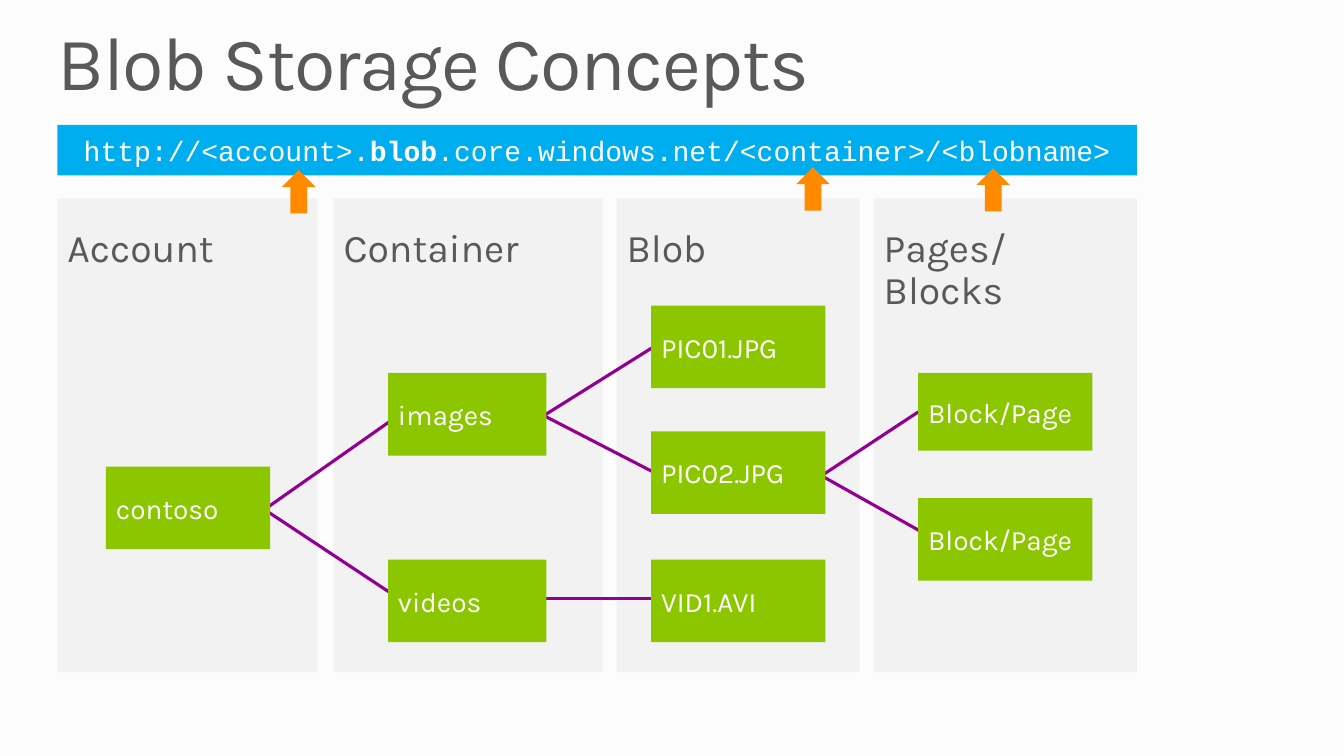
import pptx
import pptx.util
import pptx.dml.color
import pptx.enum.shapes
import pptx.enum.text
import pptx.oxml.xmlchemy

Cm = pptx.util.Cm
Pt = pptx.util.Pt
KIND = pptx.enum.shapes.MSO_SHAPE
ALIGN = pptx.enum.text.PP_ALIGN
ANCHOR = pptx.enum.text.MSO_ANCHOR


def paint(color, code):
    color.rgb = pptx.dml.color.RGBColor.from_string(code)


def block(kind, left, top, width, height, fill, text="", size=20, ink="FFFFFF"):
    shape = slide.shapes.add_shape(kind, Cm(left), Cm(top), Cm(width), Cm(height))
    shape.shadow.inherit = False
    shape.fill.solid()
    paint(shape.fill.fore_color, fill)
    shape.line.fill.background()
    if text:
        frame = shape.text_frame
        frame.word_wrap = True
        frame.vertical_anchor = ANCHOR.MIDDLE
        para = frame.paragraphs[0]
        para.text = text
        para.alignment = ALIGN.LEFT
        para.runs[0].font.size = Pt(size)
        para.runs[0].font.name = "Karla"
        paint(para.runs[0].font.color, ink)
    return shape


deck = pptx.Presentation()
deck.slide_width = Cm(33.87)
deck.slide_height = Cm(19.05)
slide = deck.slides.add_slide(deck.slide_layouts[5])
slide.background.fill.solid()
paint(slide.background.fill.fore_color, "FCFCFC")

# Title
title = slide.shapes.title
title.left, title.top, title.width, title.height = Cm(1.45), Cm(0.64), Cm(30.99), Cm(2.08)
frame = title.text_frame
frame.text = "Blob Storage Concepts"
frame.word_wrap = True
frame.auto_size = pptx.enum.text.MSO_AUTO_SIZE.SHAPE_TO_FIT_TEXT
frame.vertical_anchor = ANCHOR.TOP
frame.margin_left = frame.margin_right = frame.margin_top = frame.margin_bottom = 0
para = frame.paragraphs[0]
para.alignment = ALIGN.LEFT
para.line_spacing = 0.9
font = para.runs[0].font
font.size = Pt(54)
font.name = "Karla"
paint(font.color, "595959")
para.runs[0]._r.get_or_add_rPr().set("spc", "-100")

# Column panels
for name, left, width in [
    ("Account", 1.45, 6.55),
    ("Container", 8.41, 6.78),
    ("Blob", 15.54, 6.12),
    ("Pages/ Blocks", 22.02, 6.63),
]:
    panel = block(KIND.RECTANGLE, left, 5, width, 11.94, "F2F2F2", name, 28, "595959")
    panel.text_frame.vertical_anchor = ANCHOR.TOP
    panel.text_frame.margin_top = Cm(0.76)
    panel.text_frame.paragraphs[0].line_spacing = 0.9

# Address bar
bar = block(KIND.RECTANGLE, 1.45, 3.15, 27.2, 1.27, "00AEEF")
bar.text_frame.word_wrap = True
bar.text_frame.vertical_anchor = ANCHOR.MIDDLE
para = bar.text_frame.paragraphs[0]
para.alignment = ALIGN.CENTER
for text, bold in [
    ("http://<account>.", False),
    ("blob", True),
    (".core.windows.net/<container>/<blobname>", False),
]:
    run = para.add_run()
    run.text = text
    run.font.size = Pt(20)
    run.font.name = "Courier New"
    run.font.bold = bold
    paint(run.font.color, "FFFFFF")

# Arrows up to the address parts
for left, top in [(7.11, 4.29), (20.07, 4.22), (24.61, 4.24)]:
    block(KIND.UP_ARROW, left, top, 0.84, 1.09, "FF8A00")

# Tree boxes
boxes = [
    block(KIND.RECTANGLE, left, top, width, height, "8CC600", text)
    for text, left, top, width, height in [
        ("contoso", 2.67, 11.76, 4.14, 2.08),
        ("images", 9.78, 9.4, 3.99, 2.08),
        ("videos", 9.78, 14.1, 3.99, 2.08),
        ("PIC01.JPG", 16.41, 7.7, 4.39, 2.08),
        ("PIC02.JPG", 16.41, 10.87, 4.39, 2.08),
        ("VID1.AVI", 16.41, 14.1, 4.39, 2.08),
        ("Block/Page", 23.14, 9.4, 4.39, 1.96),
        ("Block/Page", 23.14, 12.55, 4.39, 2.08),
    ]
]

# Links, placed behind the boxes
for ends in [
    (6.38, 12.65, 10.64, 15.47),
    (6.35, 13.06, 10.52, 10.13),
    (13.59, 15.09, 16.46, 15.09),
    (13.39, 10.31, 16.94, 12.14),
    (13.39, 10.67, 16.71, 8.59),
    (20.35, 11.79, 24.77, 14.27),
    (20.32, 12.24, 23.14, 10.38),
]:
    link = slide.shapes.add_connector(
        pptx.enum.shapes.MSO_CONNECTOR.STRAIGHT, *[Cm(end) for end in ends]
    )
    paint(link.line.color, "910091")
    link.line.width = Pt(2.25)
    link._element.spPr.append(pptx.oxml.xmlchemy.OxmlElement("a:effectLst"))
    boxes[0]._element.addprevious(link._element)
link.end_connect(boxes[6], 1)  # the last link meets its box at mid-side

deck.save("out.pptx")
